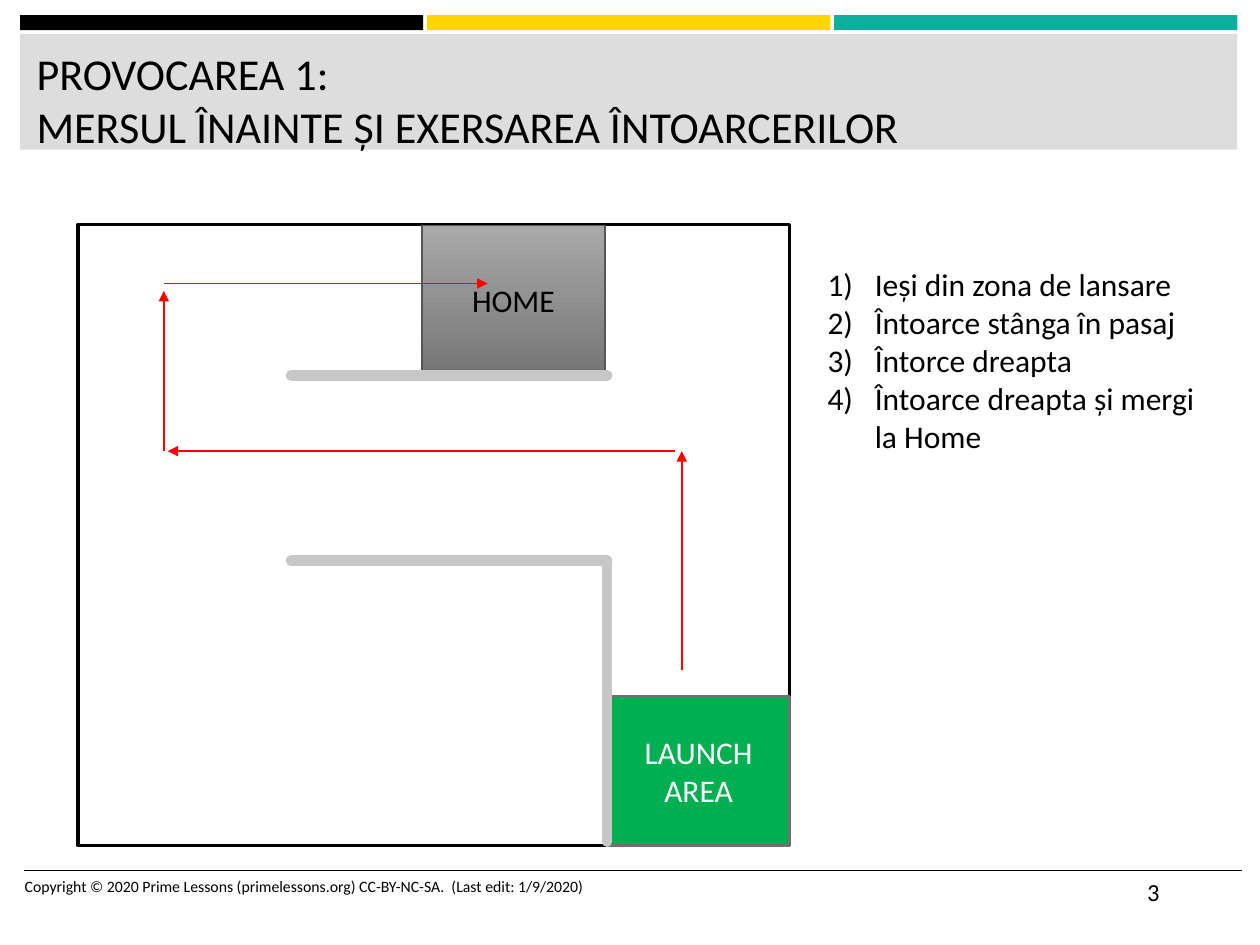
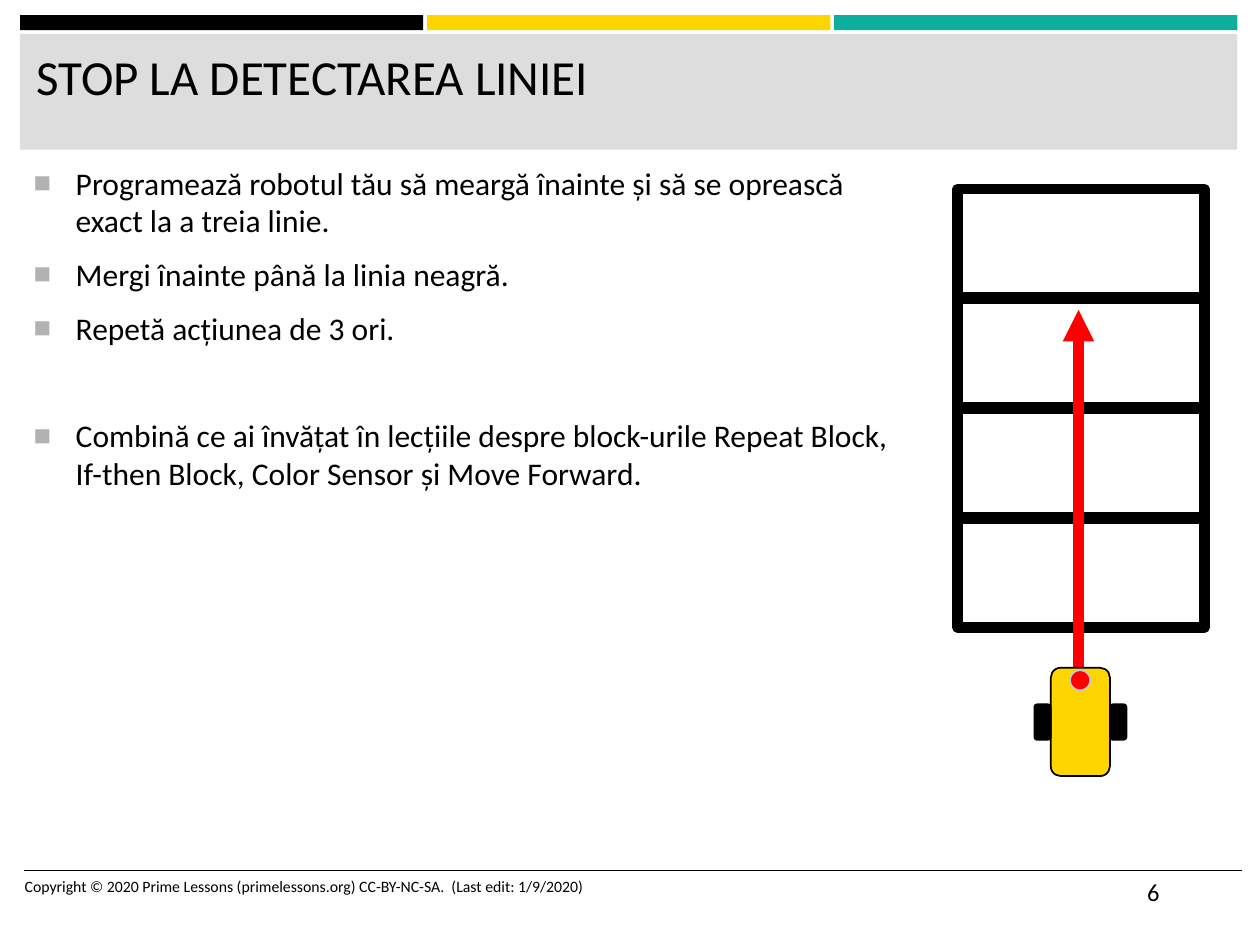
from lxml.etree import SubElement
from pptx import Presentation
from pptx.dml.color import RGBColor
from pptx.enum.shapes import MSO_CONNECTOR, MSO_SHAPE
from pptx.enum.text import MSO_ANCHOR, MSO_AUTO_SIZE, PP_ALIGN
from pptx.oxml.ns import qn
from pptx.util import Pt

BLACK = RGBColor(0x00, 0x00, 0x00)
WHITE = RGBColor(0xFF, 0xFF, 0xFF)
YELLOW = RGBColor(0xFF, 0xD5, 0x00)
TEAL = RGBColor(0x0E, 0xAE, 0x9F)
TITLE_GRAY = RGBColor(0xDD, 0xDD, 0xDD)
WALL_GRAY = RGBColor(0xC7, 0xC7, 0xC7)
HOME_TOP = RGBColor(0xA9, 0xA9, 0xA9)
HOME_BOTTOM = RGBColor(0x76, 0x76, 0x76)
HOME_EDGE = RGBColor(0x56, 0x56, 0x56)
LAUNCH_GREEN = RGBColor(0x00, 0xB0, 0x50)
LAUNCH_EDGE = RGBColor(0x6F, 0x6F, 0x6F)
RED = RGBColor(0xFF, 0x00, 0x00)
BULLET_GRAY = "B2B2B2"

FONT = "Calibri"
COPYRIGHT = "Copyright © 2020 Prime Lessons (primelessons.org) CC-BY-NC-SA.\u00a0 (Last edit: 1/9/2020)".replace("\u00a0", " ")
STEPS = [
    "Ieși din zona de lansare",
    "Întoarce stânga în pasaj",
    "Întorce dreapta",
    "Întoarce dreapta și mergi la Home",
]
TASKS = [
    "Programează robotul tău să meargă înainte și să se oprească exact la a treia linie.",
    "Mergi înainte până la linia neagră.",
    "Repetă acțiunea de 3 ori.",
    "Combină ce ai învățat în lecțiile despre block-urile Repeat Block, "
    "If-then Block, Color Sensor și Move Forward.",
]


def points(*lengths):
    """Convert numbers to lengths in points."""
    return [Pt(length) for length in lengths]


def set_font(paragraph, size, color=BLACK):
    """Give a paragraph the deck font."""
    font = paragraph.font
    font.name, font.size = FONT, Pt(size)
    font.color.rgb = color


def add_box(shapes, box, fill=None, line=None, width=1, kind=MSO_SHAPE.RECTANGLE):
    """Add a flat preset shape with optional fill and outline."""
    shape = shapes.add_shape(kind, *points(*box))
    shape.shadow.inherit = False
    if fill is None:
        shape.fill.background()
    else:
        shape.fill.solid()
        shape.fill.fore_color.rgb = fill
    if line is None:
        shape.line.fill.background()
    else:
        shape.line.color.rgb = line
        shape.line.width = Pt(width)
    return shape


def add_label(shape, text, color):
    """Centre a label in a shape."""
    shape.text_frame.text = text
    shape.text_frame.vertical_anchor = MSO_ANCHOR.MIDDLE
    paragraph = shape.text_frame.paragraphs[0]
    paragraph.alignment = PP_ALIGN.CENTER
    set_font(paragraph, 18, color)


def add_line(shapes, start, end, color, width=1, arrow=False, rounded=False):
    """Add a straight line, with an arrowhead or round caps if asked."""
    connector = shapes.add_connector(MSO_CONNECTOR.STRAIGHT, *points(*start, *end))
    connector.line.color.rgb = color
    connector.line.width = Pt(width)
    outline = connector.line._get_or_add_ln()
    if rounded:
        outline.set("cap", "rnd")
    if arrow:
        SubElement(outline, qn("a:tailEnd"), type="triangle")
    SubElement(connector._element.spPr, qn("a:effectLst"))


def add_text(slide, box, lines, size):
    """Add a wrapping text box and return it with one paragraph per line."""
    text_box = slide.shapes.add_textbox(*points(*box))
    frame = text_box.text_frame
    frame.word_wrap = True
    frame.text = "\n".join(lines)
    for paragraph in frame.paragraphs:
        set_font(paragraph, size)
    return text_box


def set_bullet(paragraph, indent, marks):
    """Give a paragraph a hanging indent and the listed bullet elements."""
    properties = paragraph._p.get_or_add_pPr()
    properties.set("marL", str(Pt(indent)))
    properties.set("indent", str(-Pt(indent)))
    for position, (tag, attributes) in enumerate(marks):
        element = SubElement(properties, qn(tag), attributes)
        if tag == "a:buClr":
            SubElement(element, qn("a:srgbClr"), val=BULLET_GRAY)
        properties.insert(position, element)


def add_frame(presentation, title_text, title_size, number):
    """Add a slide with the bands, title and footer that all slides share."""
    slide = presentation.slides.add_slide(presentation.slide_layouts[5])
    shapes = slide.shapes
    for column, color in enumerate((BLACK, YELLOW, TEAL)):
        add_box(shapes, (11.5 + column * 232.6, 8.6, 230.4, 8.6), color)
    title_band = add_box(shapes, (11.5, 19.4, 695.5, 66.2), TITLE_GRAY)
    add_line(shapes, (13.5, 497.5), (709.5, 497.5), BLACK)

    title = shapes.title
    title_band._element.addnext(title._element)
    title.left, title.top, title.width, title.height = points(13.7, 23, 689, 59)
    frame = title.text_frame
    frame.text = title_text
    frame.auto_size = MSO_AUTO_SIZE.NONE
    frame.vertical_anchor = MSO_ANCHOR.TOP
    frame.paragraphs[0].alignment = PP_ALIGN.LEFT
    set_font(frame.paragraphs[0], title_size)

    add_text(slide, (7, 497.5, 384, 28.8), [COPYRIGHT], 9)
    add_text(slide, (648.5, 497.5, 60.5, 28.8), [str(number)], 14)
    return slide


def add_field(slide, box):
    """Draw the field with its zones, walls and route inside a box."""
    left, top, width, height = box
    zone_width, zone_height = 104.4, 85
    wall_x = width - zone_width

    def place(x, y):
        return left + x, top + y

    add_box(slide.shapes, box, WHITE, BLACK, 1.75)
    launch = add_box(
        slide.shapes,
        (*place(wall_x, height - zone_height), zone_width, zone_height),
        LAUNCH_GREEN, LAUNCH_EDGE, 1.75,
    )
    add_label(launch, "LAUNCH AREA", WHITE)

    home = add_box(slide.shapes, (*place(196.6, 0.7), zone_width, zone_height), HOME_TOP, HOME_EDGE)
    home.fill.gradient()
    home.fill.gradient_angle = 270
    for stop, color, position in zip(home.fill.gradient_stops, (HOME_TOP, HOME_BOTTOM), (0, 1)):
        stop.color.rgb = color
        stop.position = position
    add_label(home, "HOME", BLACK)

    route = [
        ((345, 254.8), (345, 129.6)),
        ((341.3, 129.6), (51.2, 129.6)),
        ((49, 129.6), (49, 38.1)),
        ((49, 33.8), (234, 33.8)),
    ]
    walls = [
        ((wall_x, 352.8), (wall_x, 192.2)),
        ((wall_x, 192.2), (121.7, 192.2)),
        ((wall_x, 86.4), (121.7, 86.4)),
    ]
    for start, end in walls:
        add_line(slide.shapes, place(*start), place(*end), WALL_GRAY, 6, rounded=True)
    for start, end in route:
        add_line(slide.shapes, place(*start), place(*end), RED, arrow=True)


def add_steps(slide, box):
    """Add the numbered steps, centred vertically in a box."""
    text_box = add_text(slide, box, STEPS, 18)
    text_box.text_frame.vertical_anchor = MSO_ANCHOR.MIDDLE
    for paragraph in text_box.text_frame.paragraphs:
        set_bullet(paragraph, 27, [("a:buFont", {"typeface": "+mj-lt"}),
                                   ("a:buAutoNum", {"type": "arabicParenR"})])


def add_tasks(slide, box):
    """Add the bulleted tasks, with the last one set apart."""
    paragraphs = add_text(slide, box, TASKS, 18).text_frame.paragraphs
    for paragraph in paragraphs:
        set_bullet(paragraph, 24, [("a:buClr", {}), ("a:buSzPct", {"val": "92000"}),
                                   ("a:buFont", {"typeface": "Arial"}), ("a:buChar", {"char": "■"})])
        paragraph.space_after = Pt(6)
    for paragraph in paragraphs[1:-1]:
        paragraph.space_before = Pt(3)
    paragraphs[-1].space_before = Pt(34)


def add_line_mat(slide, box, rows=4):
    """Draw a column of black-edged cells and the path to the third line."""
    left, top, width, height = box
    pitch = height / rows
    for row in range(rows):
        add_box(slide.shapes, (left, top + row * pitch, width, pitch - 1), None, BLACK, 6)
    path_x = left + 69.1
    add_line(slide.shapes, (path_x, top + 308.2), (path_x, top + 69.1), RED, 6, arrow=True)


def add_robot(slide, box):
    """Draw the robot as a group: body, two wheels and a sensor."""
    left, top, width, height = box
    wheel = 9.4
    shapes = slide.shapes.add_group_shape().shapes
    rounded = MSO_SHAPE.ROUNDED_RECTANGLE
    add_box(shapes, (left + wheel, top, width - 2 * wheel, height), YELLOW, BLACK, kind=rounded)
    for wheel_left in (left + width - wheel, left):
        add_box(shapes, (wheel_left, top + 20.9, wheel, 20.2), BLACK, BLACK, kind=rounded)
    add_box(shapes, (left + 20.4, top + 1.4, 11.5, 11.5), RED, WALL_GRAY, kind=MSO_SHAPE.OVAL)


def main():
    """Build both challenge slides and save them."""
    presentation = Presentation()
    presentation.slide_width, presentation.slide_height = points(720, 540)

    turns = add_frame(presentation, "PROVOCAREA 1:\vMERSUL ÎNAINTE ȘI EXERSAREA ÎNTOARCERILOR", 25.2, 3)
    add_field(turns, (44.6, 128.2, 406.8, 355))
    add_steps(turns, (465.8, 123.1, 226, 165))

    line_stop = add_frame(presentation, "STOP LA DETECTAREA LINIEI", 28, 6)
    add_tasks(line_stop, (12.2, 90, 517, 400.3))
    add_line_mat(line_stop, (547.2, 108, 141.1, 251.6))
    add_robot(line_stop, (591.1, 381.6, 52.6, 61.9))

    presentation.save("out.pptx")


if __name__ == "__main__":
    main()
